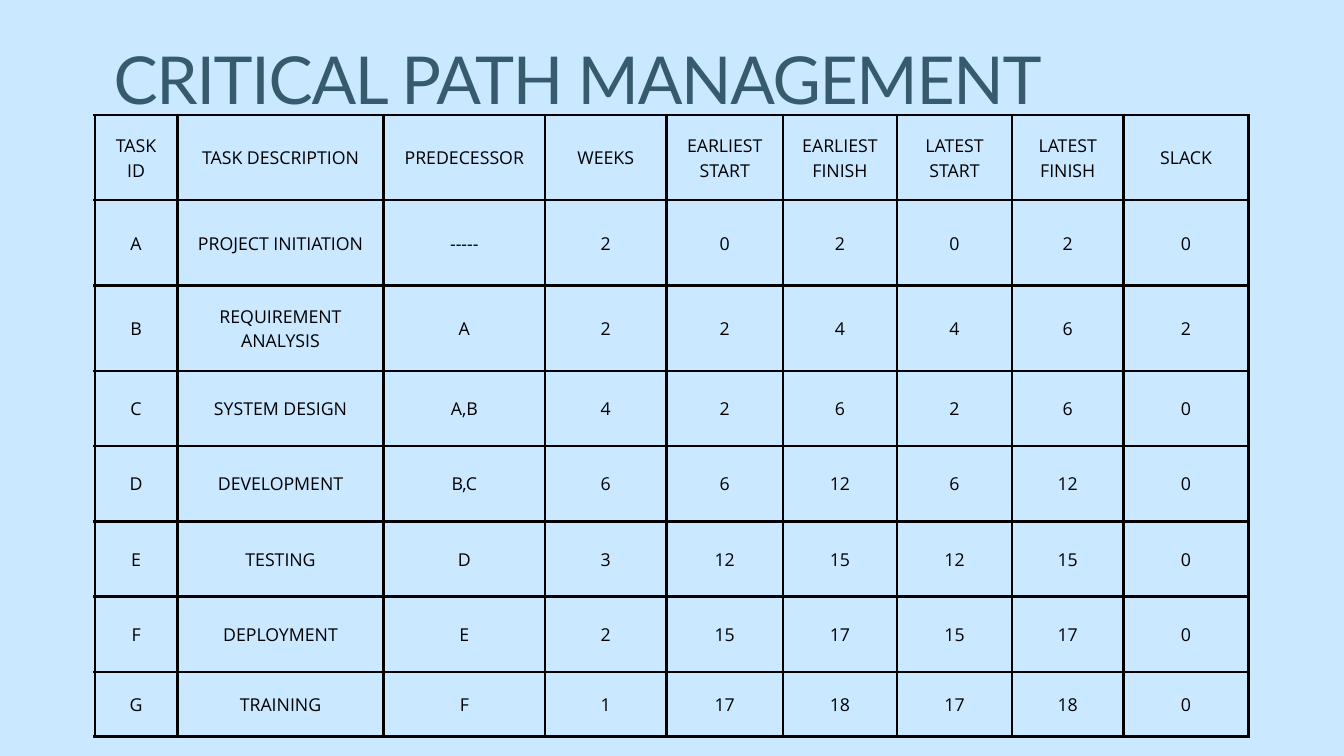
from lxml import etree
from pptx import Presentation
from pptx.dml.color import RGBColor
from pptx.enum.text import MSO_ANCHOR, MSO_AUTO_SIZE, PP_ALIGN
from pptx.oxml.ns import qn
from pptx.util import Inches, Pt

LEFT, CENTER = PP_ALIGN.LEFT, PP_ALIGN.CENTER
MIDDLE = MSO_ANCHOR.MIDDLE
GROW = MSO_AUTO_SIZE.SHAPE_TO_FIT_TEXT

BACKGROUND = RGBColor(0xCA, 0xE8, 0xFF)
TITLE_COLOR = RGBColor(0x36, 0x5B, 0x6D)
BLACK = RGBColor(0, 0, 0)

COLUMN_WIDTHS = [1.23, 3.07, 2.4, 1.81, 1.73, 1.7, 1.71, 1.66, 1.86]
ROW_HEIGHTS = [1.27] * 3 + [1.12] * 4 + [0.96]
TASKS = [
    ["TASK ID", "TASK DESCRIPTION", "PREDECESSOR", "WEEKS", "EARLIEST START",
     "EARLIEST FINISH", "LATEST START", "LATEST FINISH", "SLACK"],
    ["A", "PROJECT INITIATION", "-----", 2, 0, 2, 0, 2, 0],
    ["B", "REQUIREMENT ANALYSIS", "A", 2, 2, 4, 4, 6, 2],
    ["C", "SYSTEM DESIGN", "A,B", 4, 2, 6, 2, 6, 0],
    ["D", "DEVELOPMENT", "B,C", 6, 6, 12, 6, 12, 0],
    ["E", "TESTING", "D", 3, 12, 15, 12, 15, 0],
    ["F", "DEPLOYMENT", "E", 2, 15, 17, 15, 17, 0],
    ["G", "TRAINING", "F", 1, 17, 18, 17, 18, 0],
]


def write(text_frame, text, *, size, font, color, line_spacing,
          align=LEFT, tracking=None):
    """Put one formatted paragraph into a text frame."""
    paragraph = text_frame.paragraphs[0]
    paragraph.alignment = align
    paragraph.line_spacing = Pt(line_spacing)
    run = paragraph.add_run()
    run.text = text
    run.font.size = Pt(size)
    run.font.name = font
    run.font.color.rgb = color
    if tracking is not None:
        run.font._element.set("spc", str(round(tracking * 100)))


class SlideBuilder:
    """Holds the style and the current slide."""

    title_style = dict(size=70.8, font="Lato", color=TITLE_COLOR,
                       line_spacing=97.7, tracking=-1.4)
    cell_style = dict(size=19, font="Open Sans", color=BLACK,
                      line_spacing=26.6, align=CENTER)
    cell_margin = Inches(0.21)
    border_width = Pt(3)
    border_color = BLACK

    def __init__(self, slide):
        self.slide = slide

    def background(self, color):
        fill = self.slide.background.fill
        fill.solid()
        fill.fore_color.rgb = color

    def title(self, text, left, top, width, height):
        box = self.slide.shapes.add_textbox(
            Inches(left), Inches(top), Inches(width), Inches(height))
        frame = box.text_frame
        frame.word_wrap = True
        frame.auto_size = GROW
        frame.margin_left = frame.margin_right = 0
        frame.margin_top = frame.margin_bottom = 0
        write(frame, text, **self.title_style)

    def table(self, rows, left, top, widths, heights):
        table = self.slide.shapes.add_table(
            len(rows), len(widths), Inches(left), Inches(top),
            Inches(sum(widths)), Inches(sum(heights))).table
        table.first_row = table.horz_banding = False
        for column, width in zip(table.columns, widths):
            column.width = Inches(width)
        for row, height, values in zip(table.rows, heights, rows):
            row.height = Inches(height)
            for cell, value in zip(row.cells, values):
                self.cell(cell, str(value))

    def cell(self, cell, text):
        cell.vertical_anchor = MIDDLE
        cell.margin_left = cell.margin_right = self.cell_margin
        cell.margin_top = cell.margin_bottom = self.cell_margin
        write(cell.text_frame, text, **self.cell_style)
        self.borders(cell)
        cell.fill.background()

    def borders(self, cell):
        properties = cell._tc.get_or_add_tcPr()
        for side in ("a:lnL", "a:lnR", "a:lnT", "a:lnB"):
            line = etree.SubElement(properties, qn(side), w=str(self.border_width))
            fill = etree.SubElement(line, qn("a:solidFill"))
            etree.SubElement(fill, qn("a:srgbClr"), val=str(self.border_color))


def main():
    presentation = Presentation()
    presentation.slide_width = Inches(20)
    presentation.slide_height = Inches(11.25)
    builder = SlideBuilder(
        presentation.slides.add_slide(presentation.slide_layouts[6]))

    builder.background(BACKGROUND)

    # Task schedule
    builder.table(TASKS, 1.41, 1.71, COLUMN_WIDTHS, ROW_HEIGHTS)

    # Heading
    builder.title("CRITICAL PATH MANAGEMENT", 1.69, 0.39, 16.62, 1.32)

    presentation.save("out.pptx")


if __name__ == "__main__":
    main()
